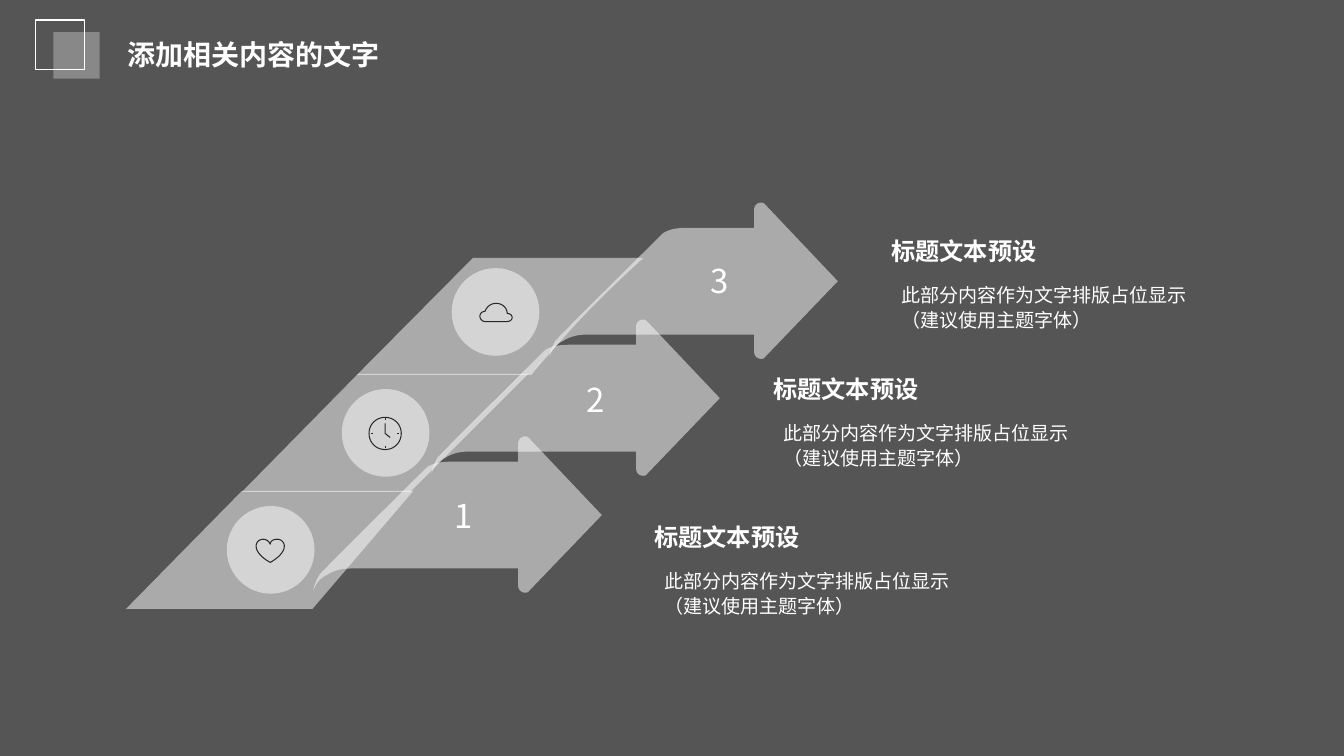
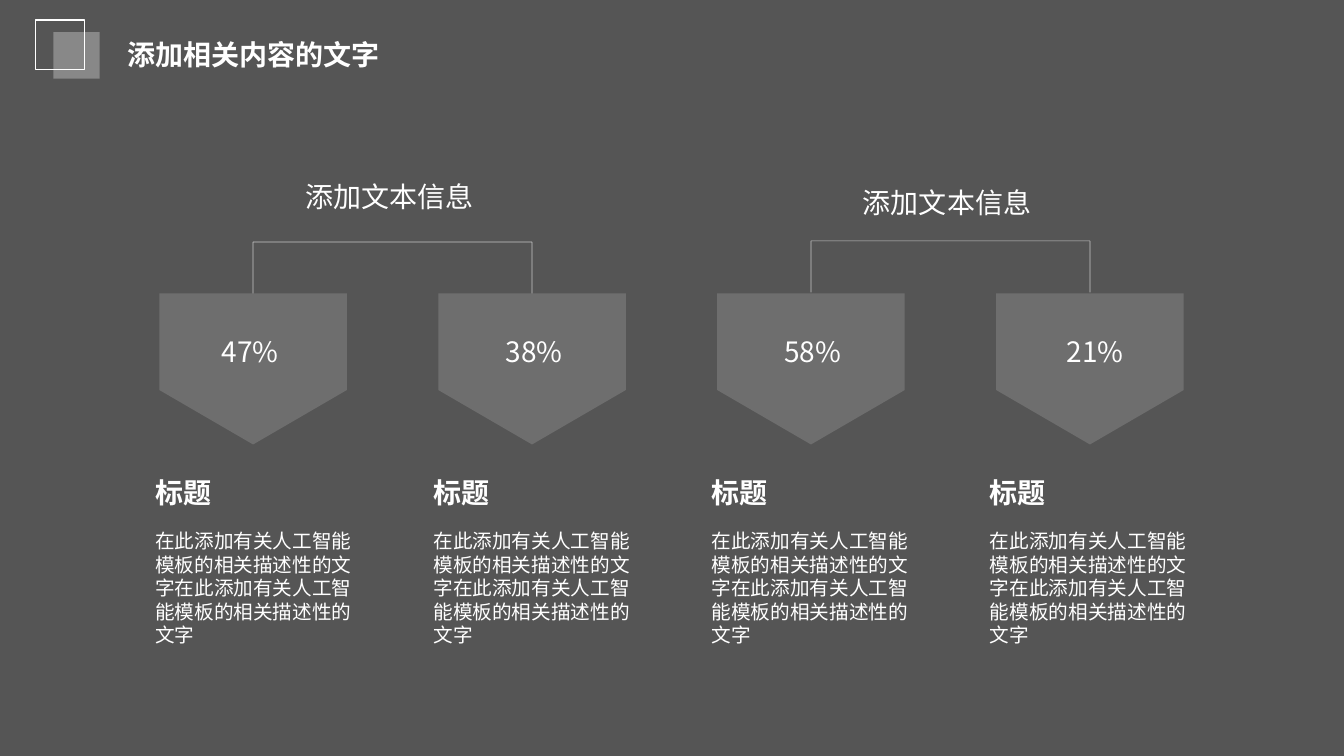
from dataclasses import dataclass
from lxml import etree
from pptx import Presentation
from pptx import util as u
from pptx.dml.color import RGBColor
from pptx.dml.fill import FillFormat
from pptx.enum import shapes, text
from pptx.oxml.ns import qn
from pptx.shapes.base import BaseShape
from pptx.slide import Slide
from pptx.text.text import TextFrame

FONT = "Noto Sans CJK SC"
WHITE, BACKDROP, ICON = "FFFFFF", "555555", "282828"
TITLE = "添加相关内容的文字"
STEP_HEADING = "标题文本预设"
STEP_DETAIL = "此部分内容作为文字排版占位显示\v（建议使用主题字体）"
COLUMN_HEADING = "标题"
COLUMN_DETAIL = "在此添加有关人工智能模板的相关描述性的文字" * 2
BRANCH_HEADING = "添加文本信息"
LEFT, CENTER = text.PP_ALIGN.LEFT, text.PP_ALIGN.CENTER
TOP, MIDDLE = text.MSO_ANCHOR.TOP, text.MSO_ANCHOR.MIDDLE

Box = tuple[float, float, float, float]
# A contour starts at its first point; two numbers are a line, six a Bezier curve
Contour = tuple[tuple[float, ...], ...]


@dataclass(frozen=True)
class Style:
    size: float
    bold: bool = False
    align: text.PP_ALIGN = LEFT
    anchor: text.MSO_ANCHOR = TOP
    margins: tuple[float, float] = (0.1, 0.05)
    spacing: float = 1.0
    wrap: bool = True


@dataclass(frozen=True)
class Step:
    number: str
    band: Contour
    number_at: tuple[float, float]
    circle_at: tuple[float, float]
    icon: tuple[Contour, ...]
    heading_at: tuple[float, float]


@dataclass(frozen=True)
class Column:
    share: str
    share_left: float


@dataclass(frozen=True)
class Branch:
    first_column: int
    heading_top: float
    bar_top: float


TITLE_STYLE = Style(20, bold=True)
NUMBER_STYLE = Style(23.5, align=CENTER, anchor=MIDDLE, margins=(0.04, 0.04))
STEP_HEADING_STYLE = Style(17.3, bold=True, margins=(0, 0), wrap=False)
STEP_DETAIL_STYLE = Style(13.6, anchor=MIDDLE, spacing=1.1)
COLUMN_DETAIL_STYLE = Style(14)
CENTERED_STYLE = Style(20, align=CENTER)

# Arrow of the first step; the others are shifted along the diagonal
ARROW: Contour = (
    (5.21, 5.88), (5.22, 5.88, 5.24, 5.88, 5.25, 5.86), (5.97, 5.11), (5.25, 4.35),
    (5.24, 4.34, 5.23, 4.33, 5.21, 4.33), (5.17, 4.33, 5.14, 4.36, 5.14, 4.4),
    (5.14, 4.58), (4.51, 4.58), (4.47, 4.58, 4.41, 4.58, 4.35, 4.59),
    (4.3, 4.6, 4.25, 4.62, 4.23, 4.64), (4.22, 4.65, 3.22, 5.64, 3.17, 5.7),
    (3.14, 5.75, 3.11, 5.82, 3.11, 5.86), (3.13, 5.79, 3.18, 5.73, 3.25, 5.7),
    (3.31, 5.66, 3.39, 5.64, 3.48, 5.64), (5.14, 5.64), (5.14, 5.81),
    (5.14, 5.85, 5.17, 5.88, 5.21, 5.88),
)
ARROW_SHIFT = (1.17, -1.16)

HEART: Contour = (
    (2.68, 5.58), (2.66, 5.57, 2.54, 5.5, 2.54, 5.42),
    (2.54, 5.38, 2.57, 5.35, 2.61, 5.35), (2.64, 5.35, 2.67, 5.37, 2.68, 5.4),
    (2.68, 5.37, 2.71, 5.35, 2.75, 5.35), (2.79, 5.35, 2.82, 5.38, 2.82, 5.42),
    (2.82, 5.5, 2.7, 5.57, 2.68, 5.58),
)
CLOCK: tuple[Contour, ...] = (
    ((3.82, 4.14), (3.91, 4.14, 3.98, 4.21, 3.98, 4.3),
     (3.98, 4.39, 3.91, 4.46, 3.82, 4.46), (3.73, 4.46, 3.66, 4.39, 3.66, 4.3),
     (3.66, 4.21, 3.73, 4.14, 3.82, 4.14)),
    ((3.82, 4.2), (3.82, 4.3), (3.87, 4.34)),
    ((3.82, 4.15), (3.82, 4.17)), ((3.82, 4.42), (3.82, 4.44)),
    ((3.68, 4.3), (3.7, 4.3)), ((3.94, 4.3), (3.96, 4.3)),
)
CLOUD: Contour = (
    (5.03, 3.19), (4.81, 3.19), (4.78, 3.19, 4.76, 3.16, 4.76, 3.14),
    (4.76, 3.11, 4.78, 3.09, 4.81, 3.09), (4.83, 3.04, 4.87, 3.01, 4.92, 3.01),
    (4.98, 3.01, 5.03, 3.05, 5.03, 3.11), (5.06, 3.11, 5.08, 3.13, 5.08, 3.15),
    (5.08, 3.17, 5.06, 3.19, 5.03, 3.19),
)

STEPS = (
    Step("1", ((4.1, 4.87), (2.4, 4.87), (1.25, 6.04), (3.1, 6.04)),
         (4.33, 4.92), (2.25, 5.02), (HEART,), (6.49, 5.18)),
    Step("2", ((5.24, 3.71), (3.55, 3.71), (2.4, 4.88), (4.07, 4.88)),
         (5.64, 3.77), (3.39, 3.86), CLOCK, (7.67, 3.71)),
    Step("3", ((6.38, 2.56), (4.69, 2.56), (3.54, 3.72), (5.27, 3.72),
               (5.4, 3.56, 5.54, 3.41, 5.68, 3.25), (5.9, 3.01, 6.14, 2.78, 6.38, 2.56)),
         (6.87, 2.59), (4.48, 2.66), (CLOUD,), (8.84, 2.34)),
)
COLUMNS = (Column("47%", 1.96), Column("38%", 4.78), Column("58%", 7.54), Column("21%", 10.34))
BRANCHES = (Branch(0, 1.73, 2.4), Branch(2, 1.79, 2.39))


# Painting
def set_color(fill: FillFormat, color: str) -> None:
    fill.solid()
    fill.fore_color.rgb = RGBColor.from_string(color)


def set_opacity(shape: BaseShape, percent: int) -> None:
    for color in shape._element.spPr.iter(qn("a:srgbClr")):
        etree.SubElement(color, qn("a:alpha"), val=str(percent * 1000))


def paint_solid(shape: BaseShape, percent: int) -> None:
    shape.shadow.inherit = False
    shape.line.fill.background()
    set_color(shape.fill, WHITE)
    set_opacity(shape, percent)


def paint_outline(shape: BaseShape, color: str, width: float) -> None:
    shape.shadow.inherit = False
    shape.fill.background()
    set_color(shape.line.fill, color)
    shape.line.width = u.Pt(width)


# Drawing
def add_preset(page: Slide, kind: shapes.MSO_SHAPE, box: Box) -> BaseShape:
    return page.shapes.add_shape(kind, *map(u.Inches, box))


def contour_points(contour: Contour, steps: int = 10) -> list[tuple[int, int]]:
    points = [contour[0]]
    for segment in contour[1:]:
        if len(segment) == 2:
            points.append(segment)
            continue
        x0, y0 = points[-1]
        x1, y1, x2, y2, x3, y3 = segment
        for i in range(1, steps + 1):
            t = i / steps
            a, b, c, d = (1 - t) ** 3, 3 * t * (1 - t) ** 2, 3 * t * t * (1 - t), t ** 3
            points.append((a * x0 + b * x1 + c * x2 + d * x3,
                           a * y0 + b * y1 + c * y2 + d * y3))
    return [(u.Inches(x), u.Inches(y)) for x, y in points]


def add_outline(page: Slide, contours: tuple[Contour, ...], close: bool) -> BaseShape:
    first, *others = [contour_points(contour) for contour in contours]
    builder = page.shapes.build_freeform(*first[0])
    builder.add_line_segments(first[1:], close=close)
    for points in others:
        builder.move_to(*points[0])
        builder.add_line_segments(points[1:], close=close)
    return builder.convert_to_shape()


def shifted(contour: Contour, dx: float, dy: float) -> Contour:
    return tuple(tuple(value + (dy if i % 2 else dx) for i, value in enumerate(segment))
                 for segment in contour)


def write(frame: TextFrame, words: str, style: Style) -> None:
    frame.word_wrap = style.wrap
    frame.auto_size = text.MSO_AUTO_SIZE.NONE
    frame.vertical_anchor = style.anchor
    side, edge = map(u.Inches, style.margins)
    frame.margin_left = frame.margin_right = side
    frame.margin_top = frame.margin_bottom = edge
    para = frame.paragraphs[0]
    para.text = words
    para.alignment = style.align
    para.line_spacing = style.spacing
    para.font.size = u.Pt(style.size)
    para.font.bold = style.bold
    para.font.name = FONT
    set_color(para.font.fill, WHITE)
    # East Asian characters need their own typeface entry
    etree.SubElement(para.font._element, qn("a:ea"), typeface=FONT)


def add_text(page: Slide, box: Box, words: str, style: Style) -> None:
    write(page.shapes.add_textbox(*map(u.Inches, box)).text_frame, words, style)


def add_rule(page: Slide, x1: float, y1: float, x2: float, y2: float) -> None:
    rule = page.shapes.add_connector(
        shapes.MSO_CONNECTOR.STRAIGHT, *map(u.Inches, (x1, y1, x2, y2)))
    set_color(rule.line.fill, WHITE)
    rule.line.width = u.Pt(0.5)
    set_opacity(rule, 67)
    etree.SubElement(rule._element.spPr, qn("a:effectLst"))


# Shared frame: corner squares and title
def add_page(deck: Presentation) -> Slide:
    page = deck.slides.add_slide(deck.slide_layouts.get_by_name("Title Only"))
    paint_outline(add_preset(page, shapes.MSO_SHAPE.RECTANGLE, (0.35, 0.2, 0.49, 0.49)), WHITE, 1)
    paint_solid(add_preset(page, shapes.MSO_SHAPE.RECTANGLE, (0.53, 0.32, 0.46, 0.46)), 30)
    title = page.shapes.title
    title.left, title.top, title.width, title.height = map(u.Inches, (1.16, 0.32, 3.84, 0.44))
    write(title.text_frame, TITLE, TITLE_STYLE)
    return page


# Slide 1: three rising arrows
def draw_step(page: Slide, index: int, step: Step) -> None:
    dx, dy = ARROW_SHIFT
    arrow = shifted(ARROW, index * dx, index * dy)
    for contour in (step.band, arrow):
        paint_solid(add_outline(page, (contour,), close=True), 50)
    add_text(page, (*step.number_at, 0.53, 0.38), step.number, NUMBER_STYLE)
    paint_solid(add_preset(page, shapes.MSO_SHAPE.OVAL, (*step.circle_at, 0.87, 0.87)), 50)
    paint_outline(add_outline(page, step.icon, close=False), ICON, 0.75)
    left, top = step.heading_at
    add_text(page, (left, top, 1.21, 0.3), STEP_HEADING, STEP_HEADING_STYLE)
    add_text(page, (left, top + 0.37, 3.24, 0.65), STEP_DETAIL, STEP_DETAIL_STYLE)


# Slide 2: four shares under two branches
def column_center(index: int) -> float:
    return 2.51 + index * 8.3 / 3


def draw_column(page: Slide, index: int, column: Column) -> None:
    width, height = 1.5, 1.86
    pentagon = add_preset(page, shapes.MSO_SHAPE.PENTAGON,
                          (column_center(index) - width / 2, 2.73, width, height))
    pentagon.rotation = 90
    pentagon.adjustments[0] = 0.36
    paint_solid(pentagon, 15)
    add_text(page, (column.share_left, 3.27, 1.04, 0.44), column.share, CENTERED_STYLE)
    left = 1.44 + index * 2.76
    add_text(page, (left, 4.67, 0.99, 0.44), COLUMN_HEADING, TITLE_STYLE)
    add_text(page, (left, 5.2, 2.18, 1.28), COLUMN_DETAIL, COLUMN_DETAIL_STYLE)


def draw_branch(page: Slide, branch: Branch) -> None:
    left, right = column_center(branch.first_column), column_center(branch.first_column + 1)
    top = branch.bar_top
    add_rule(page, left, top, right, top)
    for x in (left, right):
        add_rule(page, x, top, x, top + 0.51)
    add_text(page, (left - 0.09, branch.heading_top, 2.88, 0.44), BRANCH_HEADING, CENTERED_STYLE)


def main() -> None:
    deck = Presentation()
    deck.slide_width, deck.slide_height = u.Inches(13.33), u.Inches(7.5)
    set_color(deck.slide_master.background.fill, BACKDROP)

    steps_page = add_page(deck)
    for index, step in enumerate(STEPS):
        draw_step(steps_page, index, step)

    shares_page = add_page(deck)
    for index, column in enumerate(COLUMNS):
        draw_column(shares_page, index, column)
    for branch in BRANCHES:
        draw_branch(shares_page, branch)

    deck.save("out.pptx")


if __name__ == "__main__":
    main()
